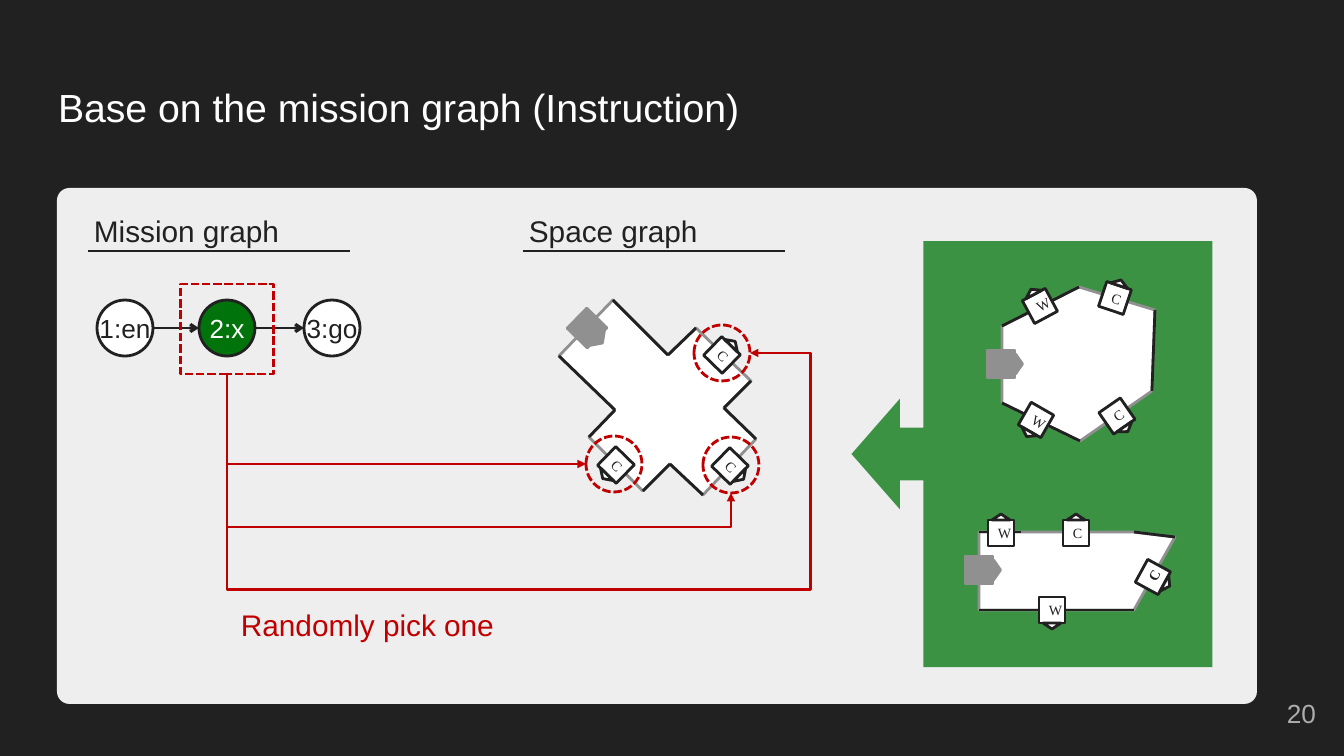
from dataclasses import dataclass
from math import cos, radians, sin
from typing import Any

from lxml.etree import SubElement
from pptx import Presentation
from pptx.dml.color import RGBColor
from pptx.enum.dml import MSO_LINE
from pptx.enum.shapes import MSO_CONNECTOR as Link, MSO_SHAPE as Preset
from pptx.enum.text import MSO_ANCHOR as Anchor, PP_ALIGN as Align
from pptx.oxml.ns import qn
from pptx.util import Emu, Pt

SCALE = 914400 / 100.8
INK = RGBColor(0x21, 0x21, 0x21)
PANEL = RGBColor(0xEE, 0xEE, 0xEE)
WHITE = RGBColor(0xFF, 0xFF, 0xFF)
GRAY = RGBColor(0x90, 0x90, 0x90)
PALE = RGBColor(0xAD, 0xAD, 0xAD)
GREEN = RGBColor(0x00, 0x74, 0x0B)
RED = RGBColor(0xC0, 0x00, 0x00)
SANS, SERIF = "Arial", "Times New Roman"
Point = tuple[int, int]


@dataclass(frozen=True)
class Marker:
    label: str
    center: Point
    tilt: float
    door: float
    bold: bool = False


@dataclass(frozen=True)
class Room:
    corners: list[Point]
    walls: list[int]
    entry: Point
    entry_angle: float
    markers: list[Marker]


@dataclass(frozen=True)
class Node:
    label: str
    center: int
    fill: RGBColor
    color: RGBColor


@dataclass(frozen=True)
class Route:
    preset: str
    end: Point
    bends: tuple[int, ...]


def px(value: float) -> Emu:
    return Emu(round(value * SCALE))


def apply(target: Any, values: dict[str, Any]) -> None:
    for name, value in values.items():
        setattr(target, name, value)


def paint(shape: Any, fill: RGBColor | None, line: RGBColor | None, dashed: bool = False) -> None:
    shape.shadow.inherit = False
    if fill is None:
        shape.fill.background()
    else:
        shape.fill.solid()
        shape.fill.fore_color.rgb = fill
    if line is None:
        shape.line.fill.background()
    else:
        shape.line.color.rgb = line
        shape.line.width = Pt(2)
    if dashed:
        shape.line.dash_style = MSO_LINE.SQUARE_DOT


def add_box(shapes: Any, preset: Preset, center: tuple[float, float], size: Point,
            fill: RGBColor | None, line: RGBColor | None, angle: float = 0, dashed: bool = False) -> Any:
    width, height = size
    left, top = center[0] - width / 2, center[1] - height / 2
    shape = shapes.add_shape(preset, px(left), px(top), px(width), px(height))
    shape.rotation = angle
    paint(shape, fill, line, dashed)
    return shape


def write(shape: Any, text: str, size: float, color: RGBColor, font: str = SANS,
          align: Align = Align.LEFT, bold: bool = False) -> None:
    para = shape.text_frame.paragraphs[0]
    para.alignment = align
    span = para.add_run()
    span.text = text
    apply(span.font, {"name": font, "size": Pt(size), "bold": bold})
    span.font.color.rgb = color


def set_frame(shape: Any, inset: int, anchor: Anchor = Anchor.MIDDLE) -> None:
    sides = ("left", "top", "right", "bottom")
    margins = {f"margin_{side}": px(inset) for side in sides}
    apply(shape.text_frame, {"word_wrap": True, "vertical_anchor": anchor, **margins})


def add_text(shapes: Any, left: int, top: int, width: int, height: int, text: str, size: float,
             color: RGBColor, align: Align = Align.LEFT, inset: int = 13) -> None:
    box = shapes.add_textbox(px(left), px(top), px(width), px(height))
    set_frame(box, inset)
    write(box, text, size, color, align=align)


def add_line(shapes: Any, start: tuple[float, float], end: tuple[float, float], color: RGBColor = INK,
             width: float = 2, arrow: str = "", kind: Link = Link.STRAIGHT) -> Any:
    line = shapes.add_connector(kind, *map(px, (*start, *end)))
    line.line.color.rgb = color
    line.line.width = Pt(width)
    properties = line.element.spPr
    if arrow:
        SubElement(properties.find(qn("a:ln")), qn("a:tailEnd"), type=arrow)
    SubElement(properties, qn("a:effectLst"))
    return line


def add_route(shapes: Any, start: Point, route: Route) -> None:
    run, rise = route.end[0] - start[0], route.end[1] - start[1]
    middle = start[0] + run / 2, start[1] + rise / 2
    half_width, half_height = abs(rise) / 2, abs(run) / 2
    corners = [(middle[0] + side * half_width, middle[1] + side * half_height) for side in (-1, 1)]
    line = add_line(shapes, *corners, RED, arrow="triangle", kind=Link.ELBOW)
    frame = line.element.spPr.find(qn("a:xfrm"))
    turn = {"rot": "16200000", "flipH": "1"} if rise > 0 else {"rot": "5400000", "flipH": "1", "flipV": "1"}
    for name, value in turn.items():
        frame.set(name, value)
    geometry = line.element.spPr.find(qn("a:prstGeom"))
    geometry.set("prst", route.preset)
    guides = geometry.find(qn("a:avLst"))
    spans = ((start[1], rise), (start[0], run))
    for index, (bend, (origin, length)) in enumerate(zip(route.bends, spans), 1):
        ratio = round((bend - origin) / length * 100000)
        SubElement(guides, qn("a:gd"), name=f"adj{index}", fmla=f"val {ratio}")


def add_door(shapes: Any, center: Point, angle: float, reach: int, size: Point,
             fill: RGBColor, line: RGBColor) -> None:
    turn = radians(angle)
    tip = center[0] + reach * sin(turn), center[1] - reach * cos(turn)
    add_box(shapes, Preset.ISOSCELES_TRIANGLE, tip, size, fill, line, angle)


def add_room(shapes: Any, room: Room) -> None:
    group = shapes.add_group_shape().shapes
    builder = group.build_freeform(*room.corners[0], scale=SCALE)
    builder.add_line_segments(room.corners[1:], close=True)
    paint(builder.convert_to_shape(), WHITE, GRAY)
    for wall in room.walls:
        add_line(group, room.corners[wall], room.corners[(wall + 1) % len(room.corners)])
    add_box(group, Preset.RECTANGLE, room.entry, (28, 28), GRAY, GRAY, room.entry_angle)
    add_door(group, room.entry, room.entry_angle, 18, (20, 7), GRAY, GRAY)
    for marker in room.markers:
        square = add_box(group, Preset.RECTANGLE, marker.center, (26, 26), WHITE, INK, marker.tilt)
        write(square, marker.label, 10.1, INK, SERIF, Align.CENTER, marker.bold)
        add_door(group, marker.center, marker.door, 16, (18, 6), WHITE, INK)


CROSS = Room([(696, 328), (751, 381), (724, 408), (756, 439), (703, 495), (670, 464),
              (643, 491), (589, 437), (615, 410), (559, 356), (613, 300), (668, 355)],
             [edge for edge in range(12) if edge % 3], (587, 328), 134.3,
             [Marker("C", (730, 466), 44.3, 134.3), Marker("C", (722, 355), 44.3, 44.3),
              Marker("C", (616, 465), 44.3, 224.3)])
HEXAGON = Room([(1079, 287), (1155, 310), (1152, 391), (1080, 441), (1002, 403), (1002, 326)],
               [1, 3, 5], (1001, 364), 90,
               [Marker("C", (1115, 298), 18.5, 18.5), Marker("C", (1117, 416), 325.3, 145.3),
                Marker("W", (1036, 420), 29.8, 209.8), Marker("W", (1040, 306), 331.8, 331.8)])
HALL = Room([(1134, 532), (1175, 537), (1134, 610), (979, 610), (979, 532), (1021, 532)],
            [0, 2, 4], (979, 570), 90,
            [Marker("W", (1001, 533), 0, 0), Marker("C", (1076, 533), 0, 0),
             Marker("C", (1153, 577), 298.6, 118.6, True), Marker("W", (1052, 610), 0, 180)])
NODES = [Node("1:en", 125, WHITE, INK), Node("2:x", 227, GREEN, WHITE), Node("3:go", 332, WHITE, INK)]
ROUTES = [Route("bentConnector2", (586, 464), ()), Route("bentConnector3", (731, 493), (527,)),
          Route("bentConnector4", (750, 353), (590, 810))]

deck = Presentation()
apply(deck, {"slide_width": px(1344), "slide_height": px(756)})
page = deck.slides.add_slide(deck.slide_layouts[5])
page.background.fill.solid()
page.background.fill.fore_color.rgb = INK
shapes = page.shapes

title = shapes.title
apply(title, {"left": px(45), "top": px(66), "width": px(1252), "height": px(85)})
set_frame(title, 13, Anchor.TOP)
title.text_frame.margin_top = px(17)
write(title, "Base on the mission graph (Instruction)", 28, WHITE)

panel = add_box(shapes, Preset.ROUNDED_RECTANGLE, (657, 446), (1200, 516), PANEL, None)
panel.adjustments[0] = 0.024
add_text(shapes, 1245, 685, 81, 57, "20", 18.7, PALE, Align.RIGHT, 10)

for heading, left in (("Mission graph", 81), ("Space graph", 516)):
    add_text(shapes, left, 198, 275, 65, heading, 21.3, INK)
    add_line(shapes, (left + 7, 251), (left + 269, 251), width=1.25)

for node in NODES:
    add_box(shapes, Preset.OVAL, (node.center, 328), (56, 56), node.fill, INK)
    add_text(shapes, node.center - 52, 302, 104, 52, node.label, 18.7, node.color, Align.CENTER)
for source, target in zip(NODES, NODES[1:]):
    add_line(shapes, (source.center + 28, 328), (target.center - 28, 328), arrow="arrow")
add_box(shapes, Preset.RECTANGLE, (227, 329), (93, 90), None, RED, dashed=True)

add_room(shapes, CROSS)
for center in ((614, 464), (731, 465), (722, 353)):
    add_box(shapes, Preset.OVAL, center, (56, 56), None, RED, dashed=True)
for route in ROUTES:
    add_route(shapes, (227, 374), route)
add_text(shapes, 228, 592, 337, 65, "Randomly pick one", 21.3, RED)

callout = add_box(shapes, Preset.LEFT_ARROW_CALLOUT, (1032, 454), (361, 426), GREEN, None)
for index, ratio in enumerate((0.146, 0.153, 0.134, 0.801)):
    callout.adjustments[index] = ratio
green = callout.element.spPr.find(qn("a:solidFill")).find(qn("a:srgbClr"))
SubElement(green, qn("a:alpha"), val="75000")
for room in (HEXAGON, HALL):
    add_room(shapes, room)

deck.save("out.pptx")
